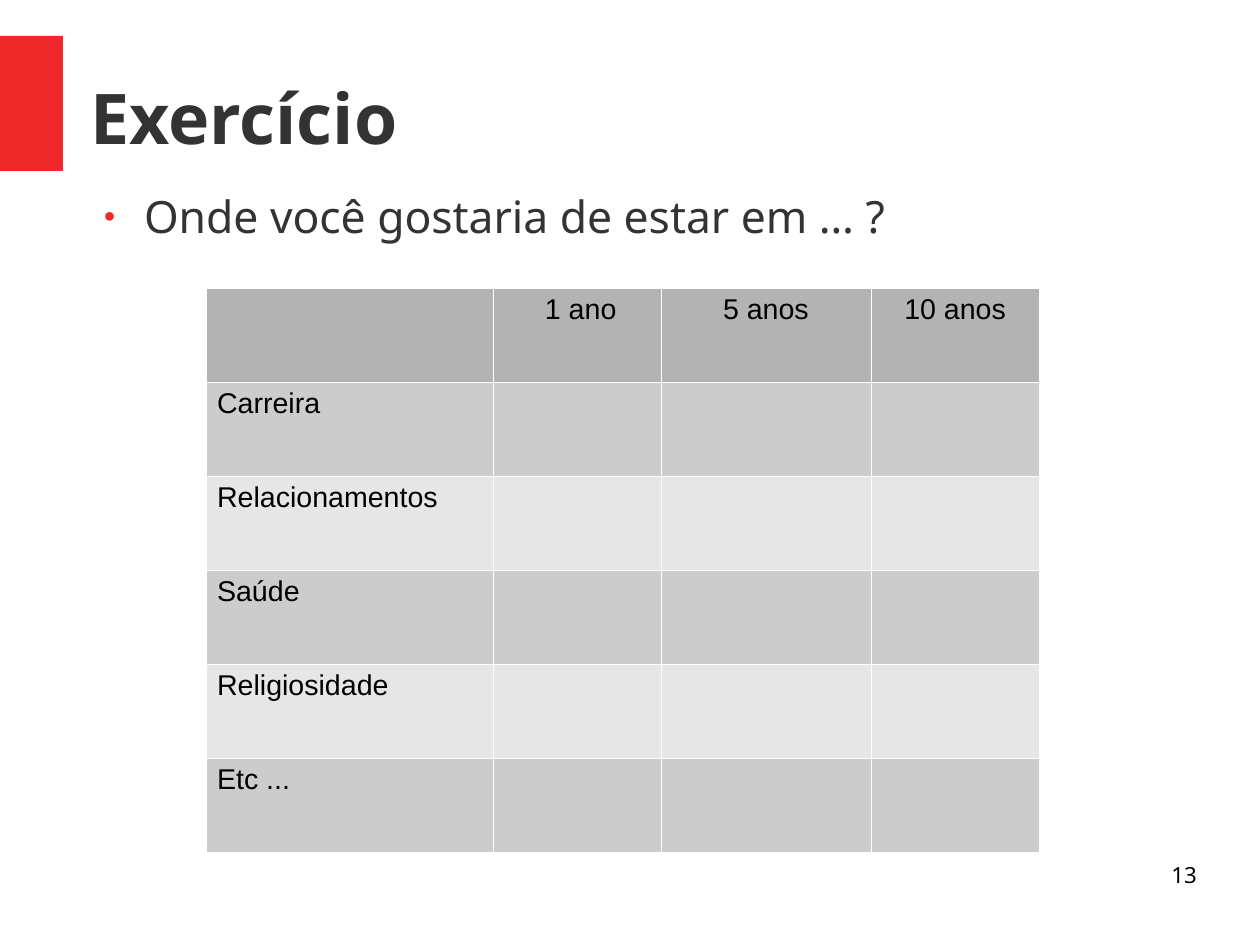
"""Build the exercise slide: a title, a question and a planning table."""
from dataclasses import dataclass

from lxml import etree
from pptx import Presentation
from pptx.dml.color import RGBColor
from pptx.enum.shapes import MSO_SHAPE
from pptx.enum.text import MSO_ANCHOR, MSO_AUTO_SIZE, PP_ALIGN
from pptx.oxml.ns import qn
from pptx.util import Cm, Pt

RECTANGLE = MSO_SHAPE.RECTANGLE
TOP, MIDDLE = MSO_ANCHOR.TOP, MSO_ANCHOR.MIDDLE
NO_AUTOFIT = MSO_AUTO_SIZE.NONE
LEFT, CENTER, RIGHT = PP_ALIGN.LEFT, PP_ALIGN.CENTER, PP_ALIGN.RIGHT


@dataclass(frozen=True)
class Theme:
    accent: str = "EF2929"
    heading: str = "333333"
    text: str = "000000"
    border: str = "FFFFFF"
    header_fill: str = "B3B3B3"
    band_fills: tuple = ("CCCCCC", "E6E6E6")
    slide_font: str = "Noto Sans"
    table_font: str = "Arial"
    title_size: int = 44
    body_size: int = 28
    table_size: int = 18
    number_size: int = 14


THEME = Theme()


def write(frame, text, font, size, color, align=LEFT, bold=False):
    """Put one formatted run in the first paragraph and return the paragraph."""
    para = frame.paragraphs[0]
    para.alignment = align
    span = para.add_run()
    span.text = text
    span.font.name = font
    span.font.size = Pt(size)
    span.font.bold = bold
    span.font.color.rgb = RGBColor.from_string(color)
    return para


def place(box, left, top, width, height, anchor=TOP):
    """Set a text shape's position and remove its margins."""
    box.left, box.top, box.width, box.height = Cm(left), Cm(top), Cm(width), Cm(height)
    frame = box.text_frame
    frame.margin_left = frame.margin_right = frame.margin_top = frame.margin_bottom = 0
    frame.word_wrap = True
    frame.auto_size = NO_AUTOFIT
    frame.vertical_anchor = anchor
    return frame


deck = Presentation()
deck.slide_width, deck.slide_height = Cm(28), Cm(21)
page = deck.slides.add_slide(deck.slide_layouts[1])

accent_bar = page.shapes.add_shape(RECTANGLE, 0, Cm(0.8), Cm(1.4), Cm(3))
accent_bar.shadow.inherit = False
accent_bar.fill.solid()
accent_bar.fill.fore_color.rgb = RGBColor.from_string(THEME.accent)
accent_bar.line.fill.background()

title = place(page.shapes.title, 2, 0.84, 24.6, 3.5, MIDDLE)
write(title, "Exercício", THEME.slide_font, THEME.title_size, THEME.heading, bold=True)

body = place(page.placeholders[1], 2, 4.2, 24, 12.2)
question = body.paragraphs[0]
question.space_before = Pt(0)
question.space_after = Pt(14.1)
properties = question._p.get_or_add_pPr()
properties.set("marL", str(Cm(1.2)))
properties.set("indent", str(Cm(-0.9)))
bullet_color = etree.SubElement(properties, qn("a:buClr"))
etree.SubElement(bullet_color, qn("a:srgbClr"), val=THEME.accent)
etree.SubElement(properties, qn("a:buSzPct"), val="45000")
etree.SubElement(properties, qn("a:buChar"), char="●")
write(body, "Onde você gostaria de estar em … ?", THEME.slide_font, THEME.body_size, THEME.heading)

rows = [
    ("", " 1 ano", "5 anos", "10 anos"),
    ("Carreira", "", "", ""),
    ("Relacionamentos", "", "", ""),
    ("Saúde", "", "", ""),
    ("Religiosidade", "", "", ""),
    ("Etc ...", "", "", ""),
]
column_widths = (6.38, 3.73, 4.68, 3.73)
row_height = 2.09
goals = page.shapes.add_table(
    len(rows), len(column_widths), Cm(4.57), Cm(6.4),
    Cm(sum(column_widths)), Cm(row_height * len(rows)),
).table
goals.first_row = goals.horz_banding = False
for column, width in zip(goals.columns, column_widths):
    column.width = Cm(width)

for row_index, labels in enumerate(rows):
    goals.rows[row_index].height = Cm(row_height)
    is_header = row_index == 0
    fill = THEME.header_fill if is_header else THEME.band_fills[(row_index - 1) % 2]
    for column_index, label in enumerate(labels):
        cell = goals.cell(row_index, column_index)
        cell_properties = cell._tc.get_or_add_tcPr()
        for side in ("a:lnL", "a:lnR", "a:lnT", "a:lnB"):
            border = etree.SubElement(cell_properties, qn(side), w=str(Pt(0.06)))
            border_fill = etree.SubElement(border, qn("a:solidFill"))
            etree.SubElement(border_fill, qn("a:srgbClr"), val=THEME.border)
        cell.fill.solid()
        cell.fill.fore_color.rgb = RGBColor.from_string(fill)
        if label:
            write(cell.text_frame, label, THEME.table_font, THEME.table_size,
                  THEME.text, CENTER if is_header else LEFT)

number_box = page.shapes.add_textbox(0, 0, 0, 0)
number = place(number_box, 20.07, 19.13, 6.53, 1.45)
write(number, "13", THEME.slide_font, THEME.number_size, THEME.text, RIGHT)

deck.save("out.pptx")
